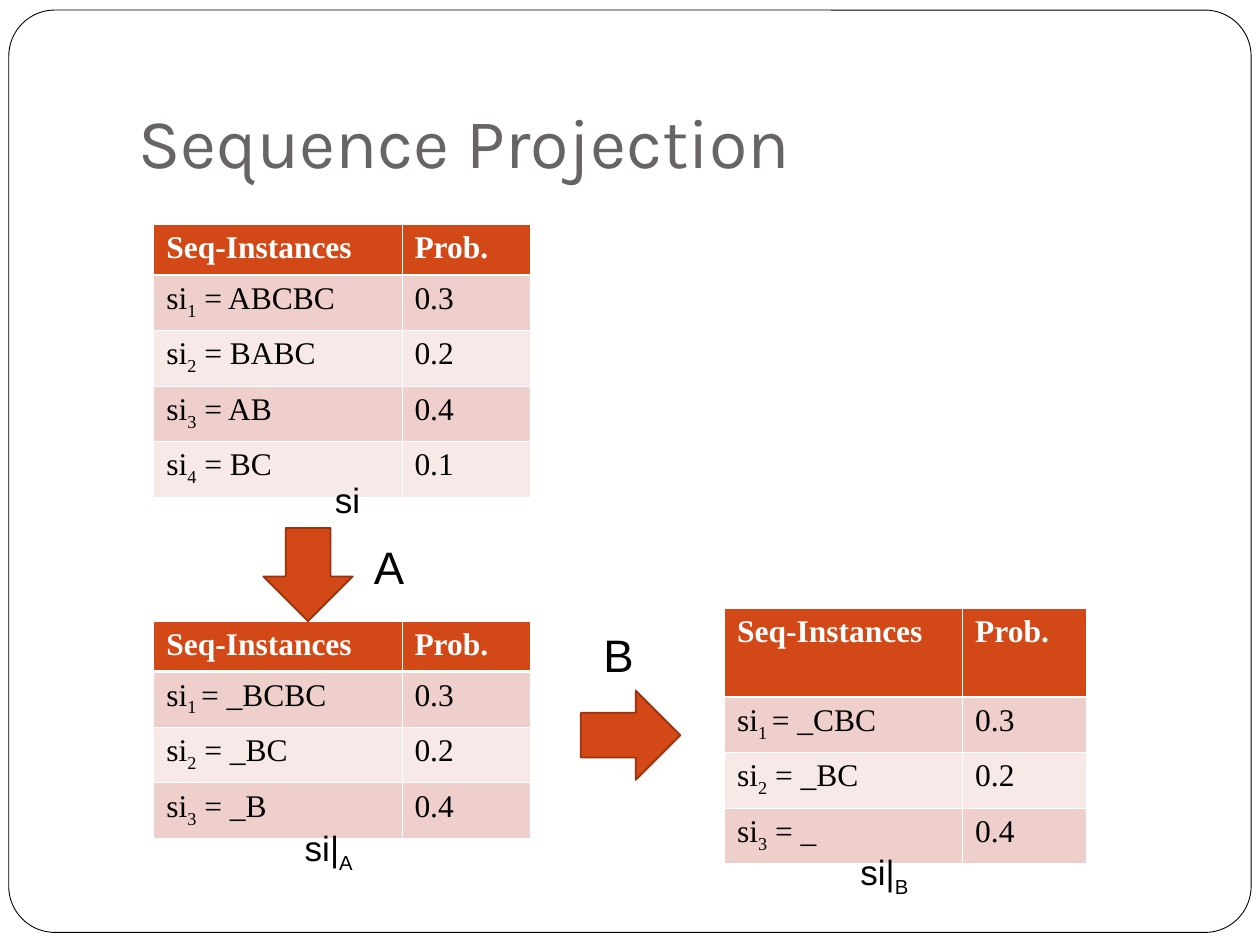
import pptx
import pptx.dml.color
import pptx.enum.shapes
import pptx.enum.text
import pptx.oxml.ns
import pptx.util
from lxml import etree

Inches = pptx.util.Inches
Pt = pptx.util.Pt
MSO_SHAPE = pptx.enum.shapes.MSO_SHAPE
MSO_ANCHOR = pptx.enum.text.MSO_ANCHOR
qn = pptx.oxml.ns.qn

COLORS = {
    "white": "FFFFFF",
    "black": "000000",
    "title": "696464",
    "accent": "D34817",
    "accent_edge": "9B320E",
    "band_dark": "EFCFCC",
    "band_light": "F7E9E7",
}
HEADER = (("Seq-Instances",), ("Prob.",))


def rgb(name):
    return pptx.dml.color.RGBColor.from_string(COLORS[name])


class SlideBuilder:
    def __init__(self, slide):
        self.slide = slide
        self.label_font = "Arial"
        self.table_font = "Times New Roman"
        self.title_font = "Karla"

    def add_runs(self, p, parts, size, font, color="black", bold=False):
        """Add the parts as runs; every second one is a subscript."""
        for i, part in enumerate(parts):
            r = p.add_run()
            r.text = part
            r.font.size = Pt(size)
            r.font.name = font
            r.font.bold = bold
            r.font.color.rgb = rgb(color)
            if i % 2:
                r.font._element.set("baseline", "-25000")

    def shape(self, kind, box, fill, edge, width, adjust):
        sp = self.slide.shapes.add_shape(kind, *map(Inches, box))
        sp.shadow.inherit = False
        sp.fill.solid()
        sp.fill.fore_color.rgb = rgb(fill)
        sp.line.color.rgb = rgb(edge)
        sp.line.width = Pt(width)
        for i, value in enumerate(adjust):
            sp.adjustments[i] = value

    def arrow(self, kind, box):
        self.shape(kind, box, "accent", "accent_edge", 1, (0.5, 0.5))

    def text(self, box, parts, size):
        tf = self.slide.shapes.add_textbox(*map(Inches, box)).text_frame
        tf.word_wrap = True
        self.add_runs(tf.paragraphs[0], parts, size, self.label_font)

    def title(self, box, text):
        tf = self.slide.shapes.add_textbox(*map(Inches, box)).text_frame
        tf.word_wrap = True
        tf.vertical_anchor = MSO_ANCHOR.BOTTOM
        tf.margin_bottom = Inches(0.1)
        self.add_runs(tf.paragraphs[0], [text], 40, self.title_font, "title")

    def borders(self, cell, row):
        """Draw thin white borders, thicker just below the header row."""
        tcPr = cell._tc.get_or_add_tcPr()
        thick = {0: "a:lnB", 1: "a:lnT"}.get(row)
        for tag in ("a:lnL", "a:lnR", "a:lnT", "a:lnB"):
            width = Pt(1.47 if tag == thick else 0.45)
            ln = etree.SubElement(tcPr, qn(tag), w=str(int(width)))
            fill = etree.SubElement(ln, qn("a:solidFill"))
            etree.SubElement(fill, qn("a:srgbClr"), val=COLORS["white"])

    def table(self, left, top, widths, header_height, rows):
        row_height = 0.44
        cells = [HEADER] + [(instance, (prob,)) for instance, prob in rows]
        height = header_height + row_height * len(rows)
        box = map(Inches, (left, top, sum(widths), height))
        table = self.slide.shapes.add_table(len(cells), len(widths), *box).table
        for column, width in zip(table.columns, widths):
            column.width = Inches(width)
        for i, row in enumerate(cells):
            header = i == 0
            table.rows[i].height = Inches(header_height if header else row_height)
            band = "band_dark" if i % 2 else "band_light"
            for j, parts in enumerate(row):
                cell = table.cell(i, j)
                self.borders(cell, i)
                cell.fill.solid()
                cell.fill.fore_color.rgb = rgb("accent" if header else band)
                self.add_runs(cell.text_frame.paragraphs[0], parts, 18, self.table_font,
                              "white" if header else "black", header)


def main():
    prs = pptx.Presentation()
    prs.slide_width, prs.slide_height = Inches(10), Inches(7.5)
    s = SlideBuilder(prs.slides.add_slide(prs.slide_layouts[6]))

    s.shape(MSO_SHAPE.ROUNDED_RECTANGLE, (0.07, 0.08, 9.86, 7.32),
            "white", "black", 0.5, (0.05,))
    s.title((1, 0.3, 8.5, 1.25), "Sequence Projection")

    left_widths = (1.97, 1.02)
    s.table(1.22, 1.78, left_widths, 0.4, [
        (("si", "1", " = ABCBC"), "0.3"),
        (("si", "2", " = BABC"), "0.2"),
        (("si", "3", " = AB"), "0.4"),
        (("si", "4", " = BC"), "0.1"),
    ])
    s.table(1.22, 4.93, left_widths, 0.4, [
        (("si", "1 ", "= _BCBC"), "0.3"),
        (("si", "2", " = _BC"), "0.2"),
        (("si", "3", " = _B"), "0.4"),
    ])
    s.table(5.75, 4.83, (1.89, 0.98), 0.7, [
        (("si", "1 ", "= _CBC"), "0.3"),
        (("si", "2", " = _BC"), "0.2"),
        (("si", "3", " = _"), "0.4"),
    ])

    s.arrow(MSO_SHAPE.RIGHT_ARROW, (4.61, 5.48, 0.79, 0.71))
    s.arrow(MSO_SHAPE.DOWN_ARROW, (2.09, 4.19, 0.71, 0.74))
    s.text((2.87, 4.23, 0.47, 0.54), ["A"], 26)
    s.text((4.69, 4.93, 0.47, 0.54), ["B"], 26)

    s.text((2.56, 3.75, 2.68, 0.44), ["si"], 20)
    s.text((2.32, 6.51, 2.68, 0.48), ["si|", "A"], 20)
    s.text((6.73, 6.7, 2.68, 0.48), ["si|", "B"], 20)

    prs.save("out.pptx")


if __name__ == "__main__":
    main()
